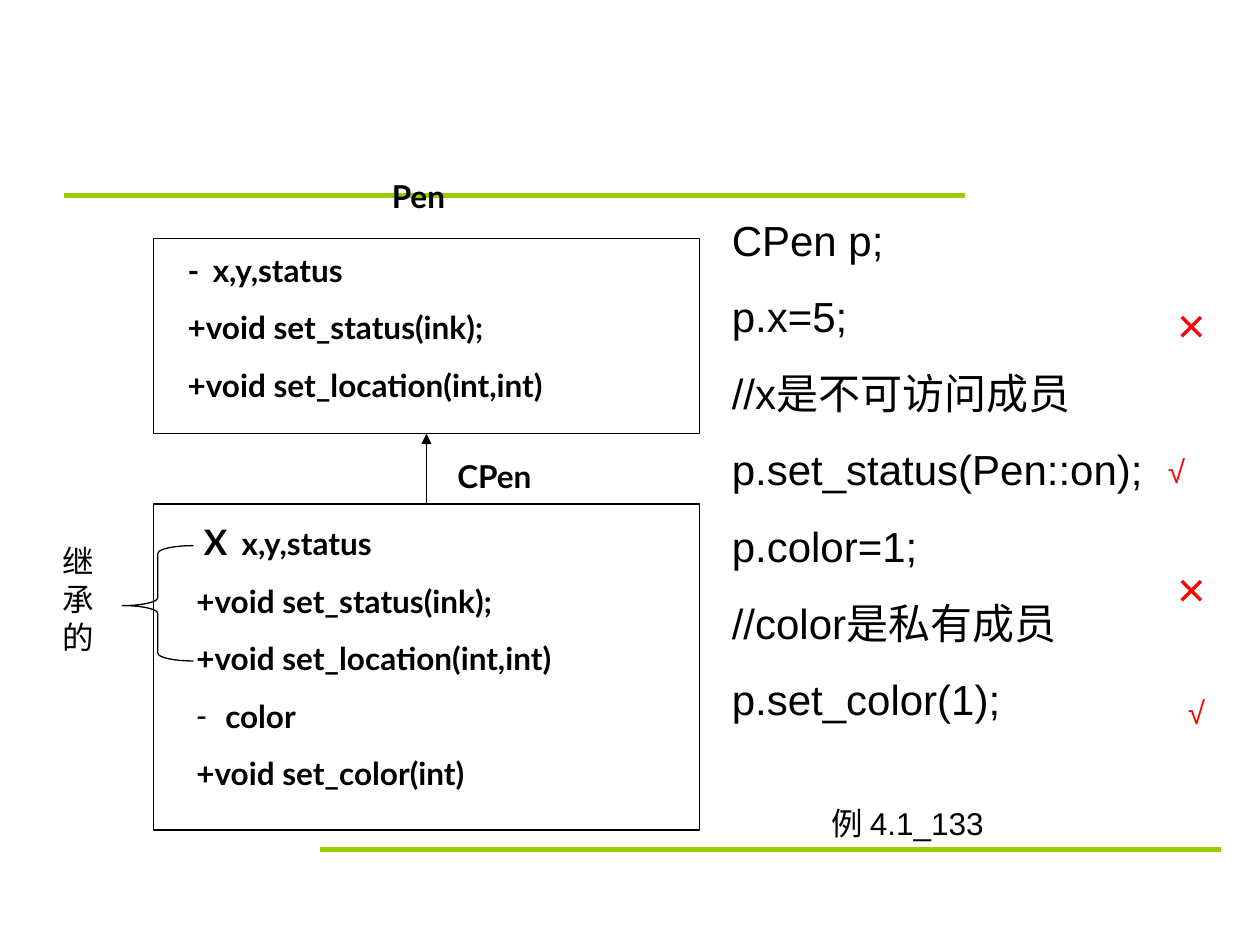
"""Build a class inheritance slide: Pen and CPen diagrams beside member access checks."""
from pptx import Presentation
from pptx import util as u
from pptx.dml.color import RGBColor
from pptx.enum import shapes, text
from pptx.oxml.ns import qn
from lxml import etree

W, H = 10, 7.5
BLACK, RED, GREEN = "000000", "FF0000", "99CC00"

# Places are left, top, width, height in percent of the slide's size.
RULES = [(5.1, 20.67, 76.6), (25.4, 89.87, 96.9)]
CLASSES = {
    "Pen": (12.2, 25.2, 43.3, 20.7),
    "CPen": (12.2, 53.33, 43.3, 34.5),
}
BRACE = (9.7, 57.75, 5.65, 12.2)

NAMES = [
    (" Pen", (29.5, 18.1, 17.5, 5.3)),
    (" CPen", (34.7, 47.7, 17.5, 5.3)),
]
PEN = ["-\tx,y,status", "+void set_status(ink);", "+void set_location(int,int)"]
CPEN = [[(" ", 18), ("X", 20), ("\tx,y,status", 18)], *PEN[1:], "color", "+void set_color(int)"]
CODE = ["CPen p;", "p.x=5;", "//x是不可访问成员", "p.set_status(Pen::on);",
        "p.color=1;", "//color是私有成员", "p.set_color(1);"]
NOTES = [
    ("继承的", (4, 56.7, 5, 13.3)),
    ("例 4.1_133", (65, 84.4, 19.2, 5.3)),
]
CROSSES = [(92.5, 30.5, 4.2, 7.6), (92.5, 58.4, 4.2, 7.6)]
TICKS = [(91.7, 47.2, 6.7, 5.3), (93.3, 72.7, 6.7, 5.3)]


def rgb(value):
    return RGBColor.from_string(value)


def place(x, y, *size):
    return [u.Inches(share * side / 100) for share, side in zip((x, y, *size), (W, H, W, H))]


def add_text(s, lines, box, size=18, font="Arial", color=BLACK, bold=False, wrap=True):
    tf = s.shapes.add_textbox(*place(*box)).text_frame
    tf.word_wrap = wrap
    tf.auto_size = text.MSO_AUTO_SIZE.SHAPE_TO_FIT_TEXT
    for i, line in enumerate(lines):
        p = tf.paragraphs[0] if i == 0 else tf.add_paragraph()
        if i:
            p.space_before = u.Pt(size * 0.625)
        for words, points in [(line, size)] if isinstance(line, str) else line:
            r = p.add_run()
            r.text = words
            r.font.size, r.font.name, r.font.bold = u.Pt(points), font, bold
            r.font.color.rgb = rgb(color)
    return tf


def add_tab(p, inches):
    tabs = etree.SubElement(p._p.get_or_add_pPr(), qn("a:tabLst"))
    etree.SubElement(tabs, qn("a:tab"), pos=str(u.Inches(inches)), algn="l")


def add_dash(p, inches):
    pPr = p._p.get_or_add_pPr()
    pPr.set("marL", str(u.Inches(inches)))
    pPr.set("indent", str(-u.Inches(inches)))
    etree.SubElement(pPr, qn("a:buFont"), typeface="Arial")
    etree.SubElement(pPr, qn("a:buChar"), char="-")


def add_outline(s, kind, box):
    sp = s.shapes.add_shape(kind, *place(*box))
    sp.shadow.inherit = False
    sp.fill.background()
    sp.line.color.rgb = rgb(BLACK)
    sp.line.width = u.Pt(0.75)
    return sp


def add_line(s, start, end, color, width):
    line = s.shapes.add_connector(shapes.MSO_CONNECTOR.STRAIGHT, *place(*start), *place(*end))
    line.line.color.rgb = rgb(color)
    line.line.width = u.Pt(width)
    etree.SubElement(line._element.spPr, qn("a:effectLst"))
    return line


def main():
    prs = Presentation()
    prs.slide_width, prs.slide_height = u.Inches(W), u.Inches(H)
    s = prs.slides.add_slide(prs.slide_layouts[6])

    for left, y, right in RULES:
        add_line(s, (left, y), (right, y), GREEN, 3)

    base, derived = [add_outline(s, shapes.MSO_SHAPE.RECTANGLE, box) for box in CLASSES.values()]
    arrow = add_line(s, (33.9, 53.3), (33.9, 45.9), BLACK, 0.75)
    arrow.begin_connect(derived, 0)
    arrow.end_connect(base, 2)
    etree.SubElement(arrow.line._get_or_add_ln(), qn("a:tailEnd"), type="triangle")

    for name, box in NAMES:
        add_text(s, [name], box, font="Lato", bold=True)
    tf = add_text(s, PEN, (13.9, 25.9, 40.9, 17.6), font="Lato", bold=True)
    add_tab(tf.paragraphs[0], 0.2)
    tf = add_text(s, CPEN, (14.6, 54.4, 46.4, 30.1), font="Lato", bold=True)
    add_tab(tf.paragraphs[0], 0.36)
    add_dash(tf.paragraphs[3], 0.23)

    brace = add_outline(s, shapes.MSO_SHAPE.LEFT_BRACE, BRACE)
    brace.adjustments[0], brace.adjustments[1] = 0.22, 0.52
    brace.adjustments[0] /= 2

    add_text(s, CODE, (57.1, 22, 36.3, 55.3), size=24)
    for note, box in NOTES:
        add_text(s, [note], box)
    for box in CROSSES:
        add_text(s, ["×"], box, size=28, color=RED, wrap=False)
    for box in TICKS:
        add_text(s, ["√"], box, color=RED)

    prs.save("out.pptx")


if __name__ == "__main__":
    main()
